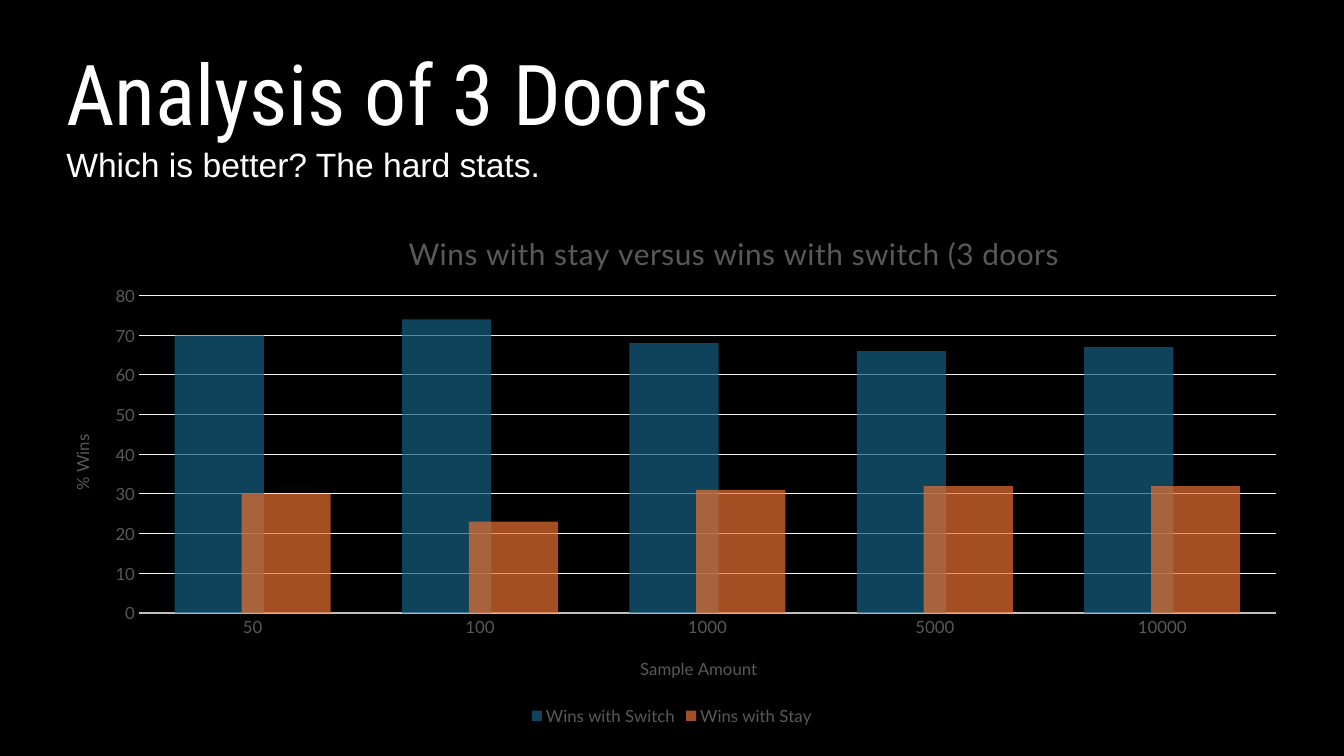
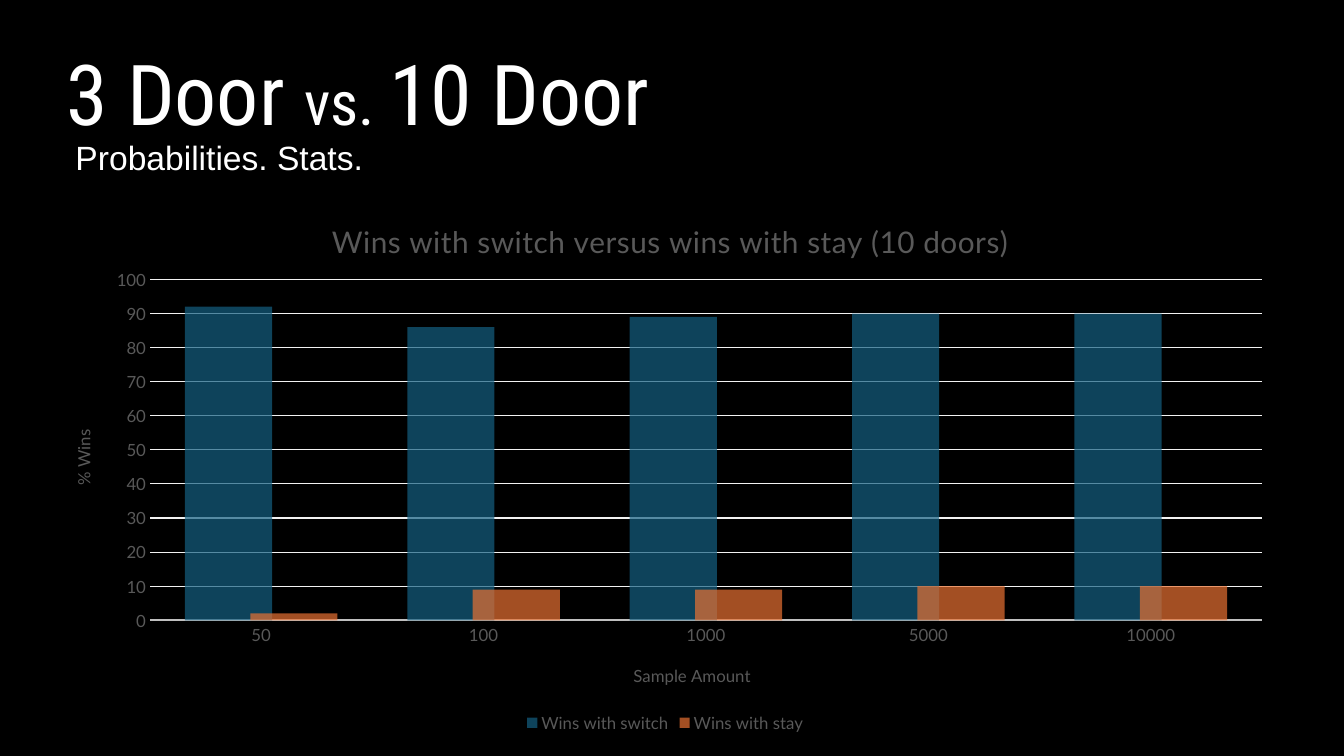
import pptx
import pptx.chart.data
import pptx.dml.color
import pptx.enum.chart
import pptx.enum.text
import pptx.oxml
import pptx.oxml.ns
import pptx.util

# Shared look
COLORS = {"back": "000000", "text": "FFFFFF", "label": "595959",
          "axis": "BFBFBF", "grid": "F2F2F2",
          "switch": "156082", "stay": "E97132"}
TITLE_FONT, BODY_FONT, CHART_FONT = "Roboto Condensed", "Arial", "Lato"
TITLE_BOX = (4.2, 5.07, 62.1, 14.53)
SAMPLES = ("50", "100", "1000", "5000", "10000")
WIDTH, HEIGHT = pptx.util.Inches(13.333), pptx.util.Inches(7.5)

# Every box or point is in percent of the slide's width and height
SLIDES = (
    {"title": (("Analysis of 3 Doors", 60),),
     "subtitle": "Which is better? The hard stats.",
     "subtitle_box": (4.2, 18.93, 49.65, 24.13),
     "chart_title": "Wins with stay versus wins with switch (3 doors",
     "series": (("Wins with Switch", "switch", (70, 74, 68, 66, 67)),
                ("Wins with Stay", "stay", (30, 23, 31, 32, 32))),
     "maximum": 80,
     "chart_box": (3.15, 27.2, 93.68, 69.33),
     "plot_box": (10.34, 39.1, 84.6, 42),
     "chart_title_at": (30, 30),
     "x_title_at": (47.4, 86.4),
     "y_title_at": (5, 57.1)},
    {"title": (("3 Door ", 60), ("vs. ", 44), ("10 Door", 60)),
     "subtitle": "Probabilities. Stats.",
     "subtitle_box": (4.88, 18, 54.75, 24.13),
     "chart_title": "Wins with switch versus wins with stay (10 doors)",
     "series": (("Wins with switch", "switch", (92, 86, 89, 90, 90)),
                ("Wins with stay", "stay", (2, 9, 9, 10, 10))),
     "maximum": 100,
     "chart_box": (3.23, 24.93, 92.55, 72.53),
     "plot_box": (11.16, 36.97, 82.74, 45.1),
     "chart_title_at": (24.3, 28.4),
     "x_title_at": (46.9, 87.4),
     "y_title_at": (5.1, 56.4)},
)


def rgb(name):
    return pptx.dml.color.RGBColor.from_string(COLORS[name])


def place(box):
    """Turn percentages of the slide into lengths."""
    return [int(share * side / 100)
            for share, side in zip(box, (WIDTH, HEIGHT) * 2)]


def style(font, face, size, color):
    font.name, font.size, font.bold = face, pptx.util.Pt(size), False
    font.color.rgb = rgb(color)


def add_text(s, box, runs, face, anchor):
    tf = s.shapes.add_textbox(*place(box)).text_frame
    tf.word_wrap = True
    tf.vertical_anchor = anchor
    p = tf.paragraphs[0]
    p.line_spacing = 0.9
    for text, size in runs:
        r = p.add_run()
        r.text = text
        style(r.font, face, size, "text")


def make_layout(chart_box, target):
    """Fix a chart part, given in slide percentages, within the chart."""
    left, top, width, height = chart_box
    shares = [(target[0] - left) / width, (target[1] - top) / height]
    tags = ["xMode", "yMode", "x", "y"]
    values = ["edge", "edge", *shares]
    inner = ""
    if len(target) == 4:
        inner = '<c:layoutTarget val="inner"/>'
        tags += ["w", "h"]
        values += [target[2] / width, target[3] / height]
    parts = "".join(f'<c:{t} val="{v}"/>' for t, v in zip(tags, values))
    return pptx.oxml.parse_xml(
        f'<c:layout {pptx.oxml.ns.nsdecls("c")}><c:manualLayout>'
        f'{inner}{parts}</c:manualLayout></c:layout>')


def set_layout(element, layout):
    for old in element.xpath("c:layout"):
        element.remove(old)
    texts = element.xpath("c:tx")
    if texts:
        texts[0].addnext(layout)
    else:
        element.insert(0, layout)


def add_chart_text(title, text, size, layout, spacing=0, rotation=0):
    tf = title.text_frame
    r = tf.paragraphs[0].add_run()
    r.text = text
    style(r.font, CHART_FONT, size, "label")
    r.font._element.set("spc", str(spacing))
    tf._txBody.bodyPr.set("rot", str(rotation))
    set_layout(title._element, layout)


def fill_bars(series, color):
    fill = series.format.fill
    fill.solid()
    fill.fore_color.rgb = rgb(color)
    srgb = series._element.xpath("c:spPr/a:solidFill/a:srgbClr")[0]
    srgb.append(pptx.oxml.parse_xml(
        f'<a:alpha {pptx.oxml.ns.nsdecls("a")} val="70000"/>'))
    series.invert_if_negative = False


def style_axis(axis):
    axis.major_tick_mark = pptx.enum.chart.XL_TICK_MARK.NONE
    axis.minor_tick_mark = pptx.enum.chart.XL_TICK_MARK.NONE
    style(axis.tick_labels.font, CHART_FONT, 12, "label")


def style_line(line, color, width):
    line.color.rgb = rgb(color)
    line.width = pptx.util.Pt(width)


def add_wins_chart(s, content):
    data = pptx.chart.data.CategoryChartData()
    data.categories = SAMPLES
    for name, _, values in content["series"]:
        data.add_series(name, values)
    box = content["chart_box"]
    chart = s.shapes.add_chart(
        pptx.enum.chart.XL_CHART_TYPE.COLUMN_CLUSTERED,
        *place(box), data).chart
    style(chart.font, CHART_FONT, 10, "label")

    # Bars
    plot = chart.plots[0]
    plot.gap_width, plot.overlap = 80, 25
    plot.vary_by_categories = False
    for series, (_, color, _) in zip(plot.series, content["series"]):
        fill_bars(series, color)
    set_layout(chart._chartSpace.xpath("c:chart/c:plotArea")[0],
               make_layout(box, content["plot_box"]))

    # Axes
    x_axis, y_axis = chart.category_axis, chart.value_axis
    style_axis(x_axis)
    style_axis(y_axis)
    style_line(x_axis.format.line, "axis", 1.25)
    y_axis.format.line.fill.background()
    style_line(y_axis.major_gridlines.format.line, "grid", 0.75)
    y_axis.minimum_scale, y_axis.maximum_scale = 0, content["maximum"]
    y_axis.major_unit = 10

    # Titles and legend
    add_chart_text(chart.chart_title, content["chart_title"], 21.3,
                   make_layout(box, content["chart_title_at"]), spacing=50)
    add_chart_text(x_axis.axis_title, "Sample Amount", 12,
                   make_layout(box, content["x_title_at"]))
    add_chart_text(y_axis.axis_title, "% Wins", 12,
                   make_layout(box, content["y_title_at"]),
                   rotation=-5400000)
    chart.has_legend = True
    chart.legend.position = pptx.enum.chart.XL_LEGEND_POSITION.BOTTOM
    chart.legend.include_in_layout = False
    style(chart.legend.font, CHART_FONT, 12, "label")


def add_slide(prs, content):
    s = prs.slides.add_slide(prs.slide_layouts[6])
    s.background.fill.solid()
    s.background.fill.fore_color.rgb = rgb("back")
    add_wins_chart(s, content)
    add_text(s, content["subtitle_box"], [(content["subtitle"], 24)],
             BODY_FONT, pptx.enum.text.MSO_ANCHOR.TOP)
    add_text(s, TITLE_BOX, content["title"],
             TITLE_FONT, pptx.enum.text.MSO_ANCHOR.BOTTOM)


def main():
    prs = pptx.Presentation()
    prs.slide_width, prs.slide_height = WIDTH, HEIGHT
    for content in SLIDES:
        add_slide(prs, content)
    prs.save("out.pptx")


if __name__ == "__main__":
    main()
